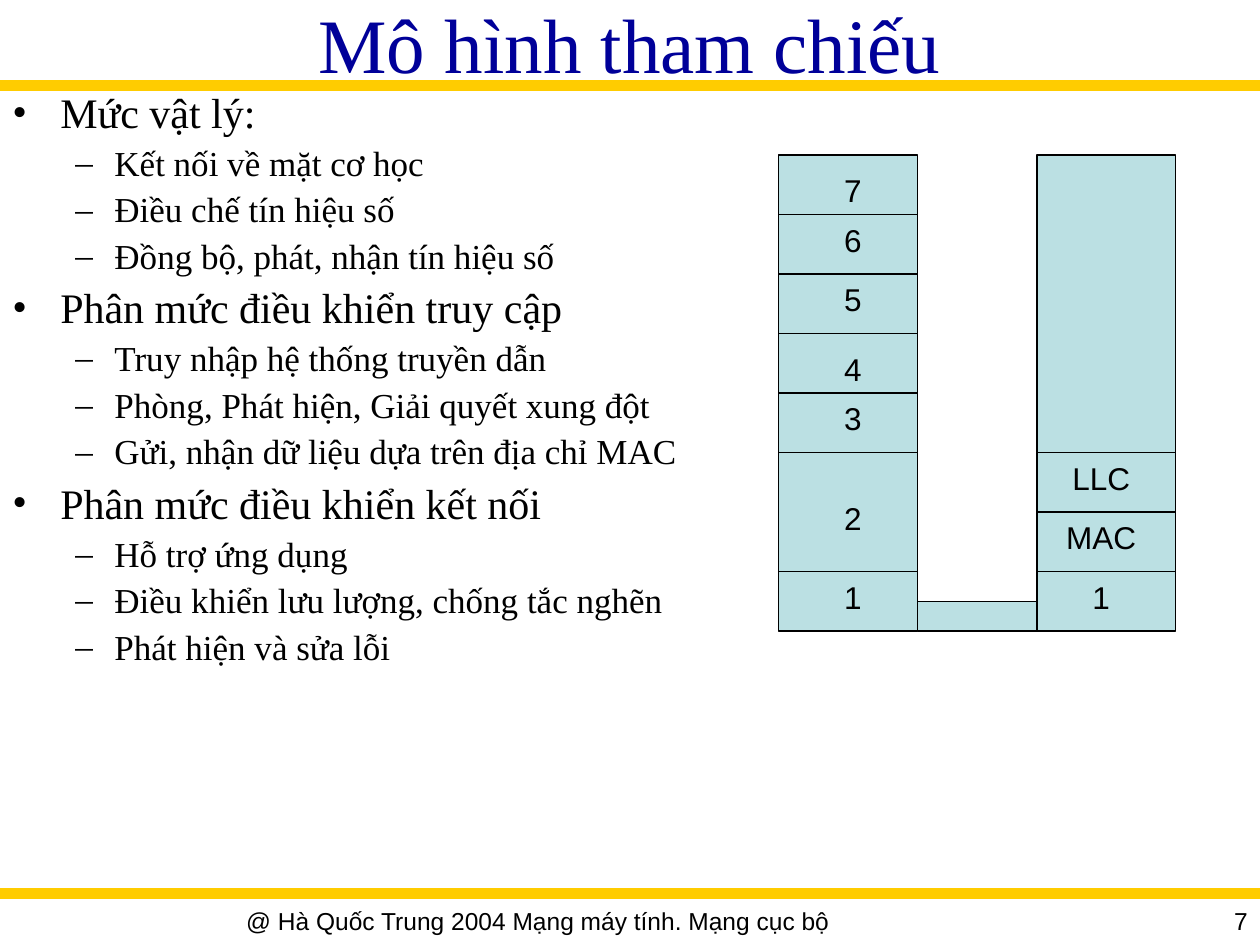
from lxml.etree import SubElement
from pptx import Presentation
from pptx.dml.color import RGBColor
from pptx.enum.shapes import MSO_CONNECTOR, MSO_SHAPE
from pptx.enum.text import MSO_ANCHOR, PP_ALIGN
from pptx.oxml.ns import qn
from pptx.util import Inches, Pt

NAVY = RGBColor(0x00, 0x00, 0x99)
GOLD = RGBColor(0xFF, 0xCC, 0x00)
BLACK = RGBColor(0x00, 0x00, 0x00)
PALE_BLUE = RGBColor(0xBB, 0xE0, 0xE3)
SERIF, SANS = "Times New Roman", "Arial"

# Content
TITLE = "Mô hình tham chiếu"
FOOTER = "@ Hà Quốc Trung 2004 Mạng máy tính. Mạng cục bộ"
PAGE_NUMBER = "7"
OUTLINE = [
    ("Mức vật lý:", [
        "Kết nối về mặt cơ học",
        "Điều chế tín hiệu số",
        "Đồng bộ, phát, nhận tín hiệu số",
    ]),
    ("Phân mức điều khiển truy cập", [
        "Truy nhập hệ thống truyền dẫn",
        "Phòng, Phát hiện, Giải quyết xung đột",
        "Gửi, nhận dữ liệu dựa trên địa chỉ MAC",
    ]),
    ("Phân mức điều khiển kết nối", [
        "Hỗ trợ ứng dụng",
        "Điều khiển lưu lượng, chống tắc nghẽn",
        "Phát hiện và sửa lỗi",
    ]),
]
# Layers from top to bottom: label, height in rows, label drop
OSI_LAYERS = [("7", 1, 0.08), ("6", 1, 0), ("5", 1, 0), ("4", 1, 0.08),
              ("3", 1, 0), ("2", 2, 0.32), ("1", 1, 0)]
LAN_LAYERS = [("", 5, 0), ("LLC", 1, 0), ("MAC", 1, 0), ("1", 1, 0)]
# Stack left edge, label indent, layers
STACKS = [(6.18, 0.08, OSI_LAYERS), (8.23, 0, LAN_LAYERS)]

# Bullet, size, left margin, hanging indent, space before
LEVELS = [("•", 24, 0.38, 0.38, 6), ("–", 20, 0.81, 0.31, 5)]

STACK_TOP, STACK_WIDTH = 1.23, 1.1
ROW = 3.78 / 8
LABEL_WIDTH, LABEL_HEIGHT = 1.02, 0.4

presentation = Presentation()
presentation.slide_width, presentation.slide_height = Inches(10), Inches(7.5)
slide = presentation.slides.add_slide(presentation.slide_layouts[6])


def style_font(font, name, size, color=BLACK):
    font.name, font.size = name, Pt(size)
    font.color.rgb = color


def add_text(text, left, top, width, height, align, name, size, color=BLACK):
    text_box = slide.shapes.add_textbox(
        Inches(left), Inches(top), Inches(width), Inches(height))
    text_frame = text_box.text_frame
    text_frame.word_wrap = True
    text_frame.text = text
    paragraph = text_frame.paragraphs[0]
    paragraph.alignment = align
    style_font(paragraph.runs[0].font, name, size, color)
    return text_frame


def add_rule(y):
    line = slide.shapes.add_connector(
        MSO_CONNECTOR.STRAIGHT, 0, Inches(y), Inches(10), Inches(y))
    line.line.color.rgb, line.line.width = GOLD, Pt(6)
    SubElement(line._element.spPr, qn("a:effectLst"))


def add_block(left, top, width, height):
    block = slide.shapes.add_shape(
        MSO_SHAPE.RECTANGLE, Inches(left), Inches(top),
        Inches(width), Inches(height))
    block.shadow.inherit = False
    block.fill.solid()
    block.fill.fore_color.rgb = PALE_BLUE
    block.line.color.rgb, block.line.width = BLACK, Pt(0.75)


def format_bullet(paragraph, level):
    bullet, size, margin, hanging, space_before = LEVELS[level]
    properties = paragraph._p.get_or_add_pPr()
    properties.set("marL", str(Inches(margin)))
    properties.set("indent", str(-Inches(hanging)))
    SubElement(properties, qn("a:buFont"), typeface=SERIF)
    SubElement(properties, qn("a:buChar"), char=bullet)
    paragraph.level = level
    paragraph.line_spacing = 0.9
    paragraph.space_before = Pt(space_before)
    style_font(paragraph.runs[0].font, SERIF, size)


# Rules and title
for rule_y in (0.68, 7.09):
    add_rule(rule_y)
title_frame = add_text(TITLE, 0, 0, 10, 0.68, PP_ALIGN.CENTER, SERIF, 44, NAVY)
title_frame.vertical_anchor = MSO_ANCHOR.MIDDLE

# Outline
lines = []
for heading, points in OUTLINE:
    lines.append((heading, 0))
    lines.extend((point, 1) for point in points)
body_box = slide.shapes.add_textbox(0, Inches(0.68), Inches(5.71), Inches(6.38))
body_frame = body_box.text_frame
body_frame.word_wrap = True
body_frame.text = "\n".join(text for text, level in lines)
for paragraph, (text, level) in zip(body_frame.paragraphs, lines):
    format_bullet(paragraph, level)
body_frame.paragraphs[0].space_before = Pt(0)

# Layer stacks
for left, indent, layers in STACKS:
    top = STACK_TOP
    for label, rows, drop in layers:
        add_block(left, top, STACK_WIDTH, rows * ROW)
        if label:
            add_text(label, left + indent, top + drop, LABEL_WIDTH,
                     LABEL_HEIGHT, PP_ALIGN.CENTER, SANS, 18)
        top += rows * ROW

# Link between the physical layers, half a row high
link_left, link_right = STACKS[0][0] + STACK_WIDTH, STACKS[1][0]
add_block(link_left, STACK_TOP + 7.5 * ROW, link_right - link_left, ROW / 2)

# Footer
add_text(FOOTER, 0, 7.14, 8.54, 0.36, PP_ALIGN.CENTER, SANS, 14)
add_text(PAGE_NUMBER, 8.58, 7.14, 1.42, 0.31, PP_ALIGN.RIGHT, SANS, 14)

presentation.save("out.pptx")
